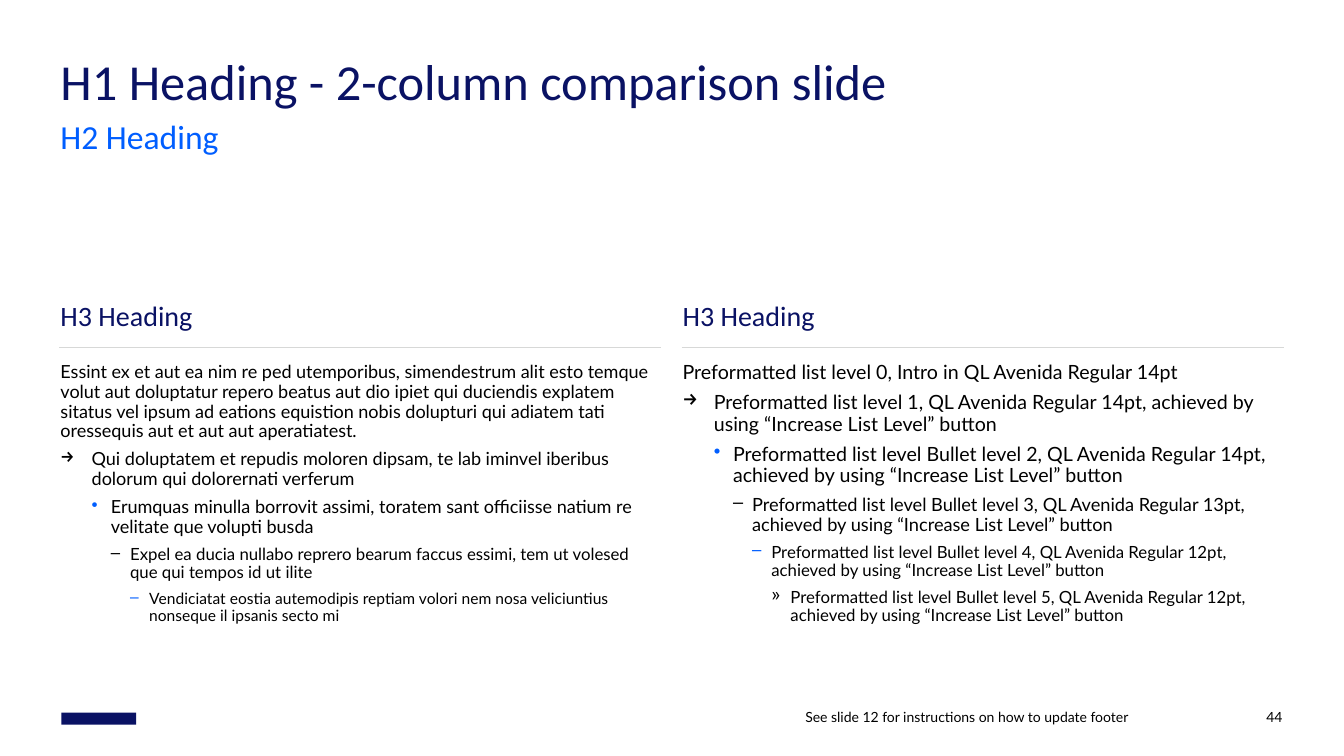
from lxml import etree
from pptx import Presentation
from pptx.dml.color import RGBColor
from pptx.enum.shapes import MSO_CONNECTOR, MSO_SHAPE
from pptx.enum.text import MSO_ANCHOR, PP_ALIGN
from pptx.oxml.ns import qn
from pptx.util import Inches, Pt

LINE, RECT = MSO_CONNECTOR.STRAIGHT, MSO_SHAPE.RECTANGLE
TOP, BOTTOM = MSO_ANCHOR.TOP, MSO_ANCHOR.BOTTOM
LEFT, RIGHT = PP_ALIGN.LEFT, PP_ALIGN.RIGHT

COLORS = {"navy": "0A1264", "blue": "005EFF", "black": "000000", "rule": "D7D8D7"}
HEAD, BODY = "Calibri", "Lato"

TITLE = "H1 Heading - 2-column comparison slide"
SUBTITLE = "H2 Heading"
FOOTER = "See slide 12 for instructions on how to update footer"
NUMBER = "44"

# Each column: heading, then (text, size) for list levels 0, 1, 2, ...
COLUMNS = [
    ("H3 Heading", [
        ("Essint ex et aut ea nim re ped utemporibus, simendestrum alit esto temque "
         "volut aut doluptatur repero beatus aut dio ipiet qui duciendis explatem "
         "sitatus vel ipsum ad eations equistion nobis dolupturi qui adiatem tati "
         "oressequis aut et aut aut aperatiatest.", 12.9),
        ("Qui doluptatem et repudis moloren dipsam, te lab iminvel iberibus "
         "dolorum qui dolorernati verferum", 12.9),
        ("Erumquas minulla borrovit assimi, toratem sant officiisse natium re "
         "velitate que volupti busda", 12.9),
        ("Expel ea ducia nullabo reprero bearum faccus essimi, tem ut volesed "
         "que qui tempos id ut ilite", 12),
        ("Vendiciatat eostia autemodipis reptiam volori nem nosa veliciuntius "
         "nonseque il ipsanis secto mi", 11.1),
    ]),
    ("H3 Heading", [
        ("Preformatted list level 0, Intro in QL Avenida Regular 14pt", 14),
        ("Preformatted list level 1, QL Avenida Regular 14pt, "
         "achieved by using “Increase List Level” button", 14),
        ("Preformatted list level Bullet level 2, QL Avenida Regular 14pt, "
         "achieved by using “Increase List Level” button", 14),
        ("Preformatted list level Bullet level 3, QL Avenida Regular 13pt, "
         "achieved by using “Increase List Level” button", 13),
        ("Preformatted list level Bullet level 4, QL Avenida Regular 12pt, "
         "achieved by using “Increase List Level” button", 12),
        ("Preformatted list level Bullet level 5, QL Avenida Regular 12pt, "
         "achieved by using “Increase List Level” button", 12),
    ]),
]

# Bullet sign and colour for list levels 1 to 5
BULLETS = [("→", "black"), ("•", "blue"), ("–", "black"), ("–", "blue"), ("»", "black")]

EDGE, WIDTH, STEP = 0.6, 5.95, 6.17
FIRST, INDENT = 0.31, 0.19


def rgb(name):
    return RGBColor.from_string(COLORS[name])


def add_box(slide, left, top, width, height, anchor=TOP):
    box = slide.shapes.add_textbox(Inches(left), Inches(top), Inches(width), Inches(height))
    frame = box.text_frame
    frame.word_wrap = True
    frame.vertical_anchor = anchor
    frame.margin_left = frame.margin_right = frame.margin_top = frame.margin_bottom = 0
    return frame


def style(para, size, font, color, space=None, align=LEFT):
    para.alignment = align
    para.line_spacing = space
    for run in para.runs:
        run.font.size = Pt(size)
        run.font.name = font
        run.font.color.rgb = rgb(color)


def add_label(slide, place, text, size, font, color, space=None, anchor=TOP, align=LEFT):
    frame = add_box(slide, *place, anchor)
    frame.text = text
    style(frame.paragraphs[0], size, font, color, space, align)


def add_bullet(para, level):
    """Give the paragraph the hanging indent and sign of its list level."""
    sign, color = BULLETS[level - 1]
    hang = FIRST if level == 1 else INDENT
    para.level = level
    props = para._p.get_or_add_pPr()
    props.set("marL", str(Inches(FIRST + INDENT * (level - 1))))
    props.set("indent", str(-Inches(hang)))
    tint = etree.SubElement(props, qn("a:buClr"))
    etree.SubElement(tint, qn("a:srgbClr")).set("val", COLORS[color])
    etree.SubElement(props, qn("a:buChar")).set("char", sign)


def add_list(slide, left, items):
    frame = add_box(slide, left, 3.6, WIDTH, 2.67)
    for level, (text, size) in enumerate(items):
        para = frame.add_paragraph() if level else frame.paragraphs[0]
        para.text = text
        if level:
            add_bullet(para, level)
        style(para, size, BODY, "black", 0.91)
        para.space_after = Pt(6)


def add_rule(slide, left):
    y = Inches(3.45)
    rule = slide.shapes.add_connector(LINE, Inches(left), y, Inches(left + WIDTH + 0.02), y)
    rule.line.color.rgb = rgb("rule")
    rule.line.width = Pt(1)
    etree.SubElement(rule._element.spPr, qn("a:effectLst"))


def add_mark(slide):
    mark = slide.shapes.add_shape(RECT, Inches(0.61), Inches(7.07), Inches(0.74), Inches(0.12))
    mark.shadow.inherit = False
    mark.fill.solid()
    mark.fill.fore_color.rgb = rgb("navy")
    mark.line.fill.background()


def main():
    deck = Presentation()
    deck.slide_width, deck.slide_height = Inches(13.33), Inches(7.5)
    slide = deck.slides.add_slide(deck.slide_layouts[6])

    add_mark(slide)
    for text, left, width in [(FOOTER, 5.23, 5.96), (NUMBER, 11.4, 1.32)]:
        add_label(slide, (left, 6.9, width, 0.3), text, 10, BODY, "black",
                  anchor=BOTTOM, align=RIGHT)
    add_label(slide, (EDGE, 0.6, 12.13, 0.48), TITLE, 36, HEAD, "navy", Pt(36))
    add_label(slide, (EDGE, 1.23, 12.13, 0.32), SUBTITLE, 24, HEAD, "blue", 0.8)

    for col, (head, items) in enumerate(COLUMNS):
        left = EDGE + STEP * col
        add_label(slide, (left, 2.97, WIDTH, 0.32), head, 20, HEAD, "navy", 1.01, BOTTOM)
        add_rule(slide, left - 0.01)
        add_list(slide, left, items)

    deck.save("out.pptx")


if __name__ == "__main__":
    main()
